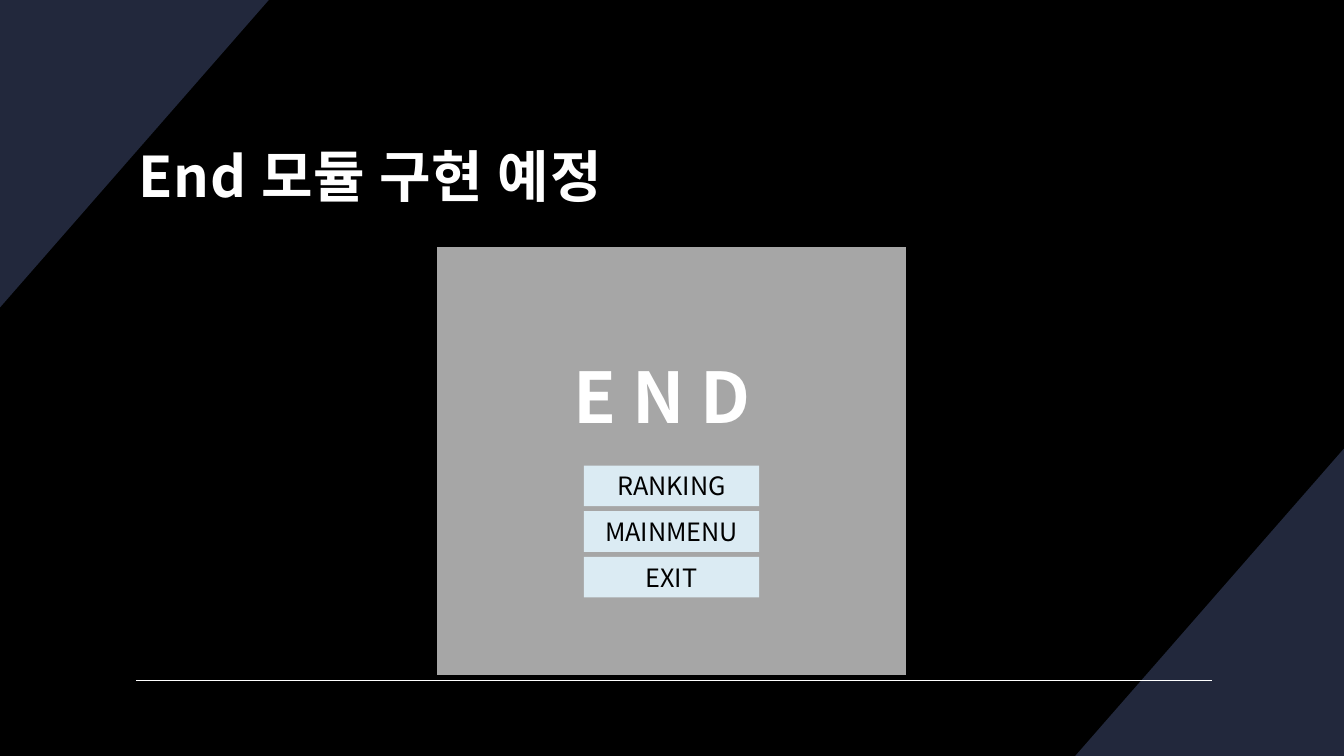
from lxml import etree
from pptx import Presentation
from pptx.dml.color import RGBColor
from pptx.enum.shapes import MSO_CONNECTOR, MSO_SHAPE
from pptx.enum.text import MSO_ANCHOR, PP_ALIGN
from pptx.oxml.ns import qn
from pptx.util import Pt

RECT = MSO_SHAPE.RECTANGLE
STRAIGHT = MSO_CONNECTOR.STRAIGHT
MIDDLE = MSO_ANCHOR.MIDDLE
LEFT, CENTER = PP_ALIGN.LEFT, PP_ALIGN.CENTER

BLACK = RGBColor(0x00, 0x00, 0x00)
WHITE = RGBColor(0xFF, 0xFF, 0xFF)
NAVY = RGBColor(0x22, 0x28, 0x3C)
GRAY = RGBColor(0xA6, 0xA6, 0xA6)
PALE_BLUE = RGBColor(0xDB, 0xEB, 0xF3)

FONT = "Noto Sans CJK KR"
WIDTH, HEIGHT = 960, 540
CORNER_W, CORNER_H = 192, 219.6


def set_text(sp, text, size, color, bold=False, align=LEFT, anchor=None,
             wrap=True, insets=(7.2, 3.6, 7.2, 3.6), line_spacing=None, spacing=None):
    tf = sp.text_frame
    tf.word_wrap = wrap
    tf.margin_left, tf.margin_top, tf.margin_right, tf.margin_bottom = map(Pt, insets)
    if anchor is not None:
        tf.vertical_anchor = anchor
    p = tf.paragraphs[0]
    p.alignment = align
    if line_spacing:
        p.line_spacing = line_spacing
    r = p.add_run()
    r.text = text
    r.font.size, r.font.bold, r.font.name = Pt(size), bold, FONT
    r.font.color.rgb = color
    rPr = r.font._element
    etree.SubElement(rPr, qn("a:ea")).set("typeface", FONT)
    if spacing:
        rPr.set("spc", str(round(spacing * 100)))


def add_rect(s, x, y, w, h, fill, line=None):
    sp = s.shapes.add_shape(RECT, Pt(x), Pt(y), Pt(w), Pt(h))
    sp.shadow.inherit = False
    sp.fill.solid()
    sp.fill.fore_color.rgb = fill
    if line is None:
        sp.line.fill.background()
    else:
        sp.line.color.rgb = line
        sp.line.width = Pt(1)
    return sp


def add_corner(s, points):
    builder = s.shapes.build_freeform(Pt(points[0][0]), Pt(points[0][1]))
    builder.add_line_segments([(Pt(x), Pt(y)) for x, y in points[1:]], close=True)
    sp = builder.convert_to_shape()
    sp.shadow.inherit = False
    sp.fill.solid()
    sp.fill.fore_color.rgb = NAVY
    sp.line.fill.background()


def add_backdrop(s, w, h):
    s.background.fill.solid()
    s.background.fill.fore_color.rgb = BLACK
    # Corner triangles
    add_corner(s, [(w, h - CORNER_H), (w, h), (w - CORNER_W, h)])
    add_corner(s, [(0, CORNER_H), (0, 0), (CORNER_W, 0)])
    # Footer rule
    rule = s.shapes.add_connector(STRAIGHT, Pt(97.2), Pt(h - 54), Pt(865.4), Pt(h - 54))
    rule.line.color.rgb = WHITE
    rule.line.width = Pt(1)
    etree.SubElement(rule._element.spPr, qn("a:effectLst"))


def add_title(s, x, y, w, h):
    sp = s.shapes.add_textbox(Pt(x), Pt(y), Pt(w), Pt(h))
    set_text(sp, "End 모듈 구현 예정", 40, WHITE, bold=True, anchor=MIDDLE,
             insets=(8.64, 8.64, 8.64, 7.2), line_spacing=1.1, spacing=0.7)


def add_end_screen(s, x, y, w, h):
    add_rect(s, x, y, w, h, GRAY, line=BLACK)
    # Heading
    sp = s.shapes.add_textbox(Pt(x + 90.7), Pt(y + 73.4), Pt(154.8), Pt(67.7))
    set_text(sp, "E N D", 50, WHITE, bold=True, wrap=False)
    # Menu buttons
    button_w, button_h, pitch = 125.3, 29.1, 32.6
    for i, label in enumerate(("RANKING", "MAINMENU", "EXIT")):
        sp = add_rect(s, x + (w - button_w) / 2, y + 156.8 + i * pitch,
                      button_w, button_h, PALE_BLUE)
        set_text(sp, label, 18, BLACK, align=CENTER, anchor=MIDDLE)


def main():
    prs = Presentation()
    prs.slide_width, prs.slide_height = Pt(WIDTH), Pt(HEIGHT)
    s = prs.slides.add_slide(prs.slide_layouts[6])
    add_backdrop(s, WIDTH, HEIGHT)
    add_title(s, 90, 68.4, 780, 107.3)
    add_end_screen(s, 312, 175.7, 335.5, 306.7)
    prs.save("out.pptx")


if __name__ == "__main__":
    main()
